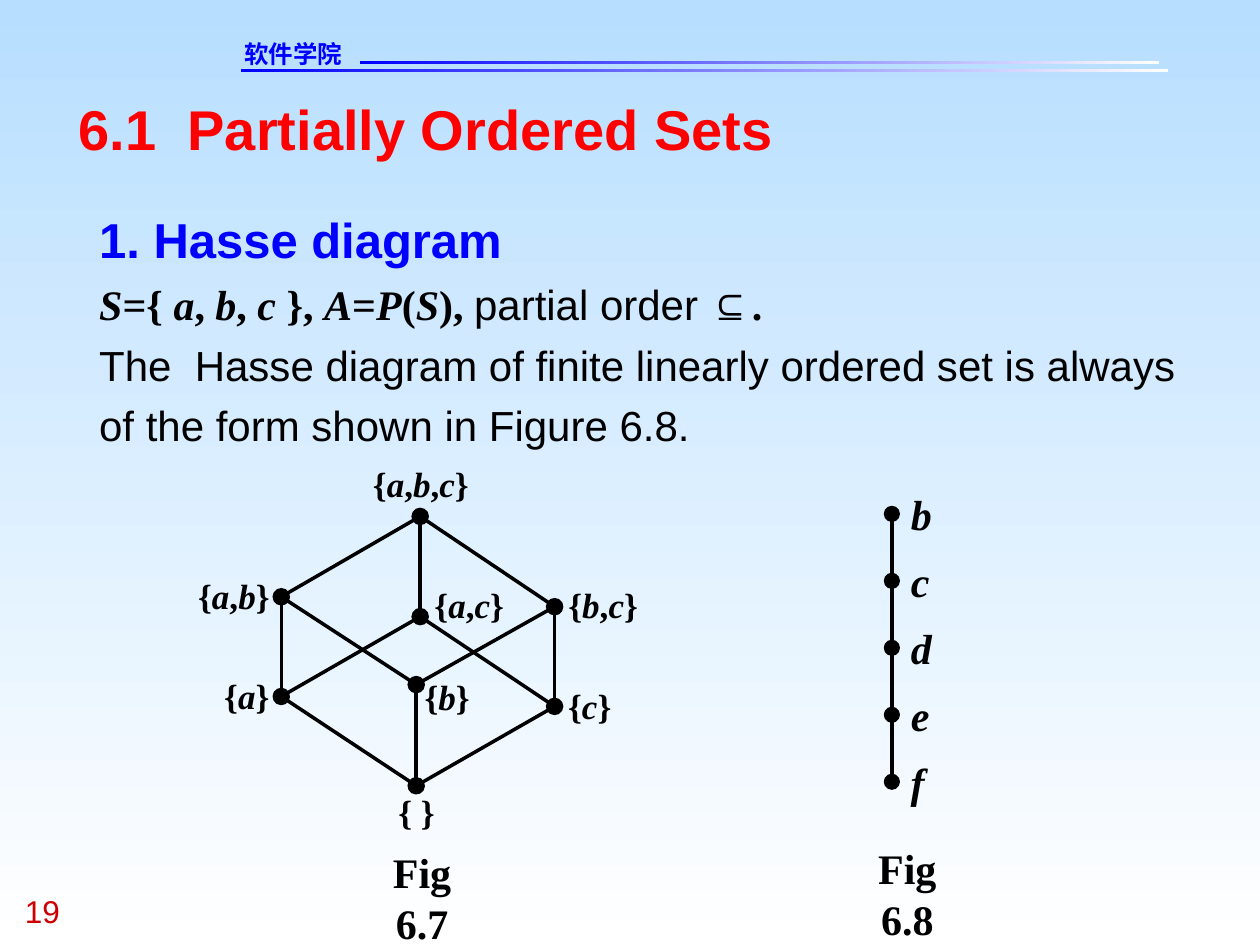
"""Build the Hasse diagram slide."""
from lxml.etree import SubElement as Sub
from pptx import Presentation
from pptx.dml.color import RGBColor
from pptx.enum.shapes import MSO_CONNECTOR as Conn, MSO_SHAPE as Shape
from pptx.enum.text import MSO_AUTO_SIZE as Auto, PP_ALIGN as Align
from pptx.oxml.ns import qn
from pptx.util import Cm, Pt

SERIF, SANS = "Times New Roman", "Arial"
STYLES = {
    "school": dict(name="DejaVu Sans", size=Pt(14), bold=True, color="0000FF"),
    "page": dict(name=SANS, size=Pt(18), color="CC0000"),
    "title": dict(name=SANS, size=Pt(32), bold=True, color="FF0000"),
    "head": dict(name=SANS, size=Pt(28), bold=True, color="0000FF"),
    "body": dict(name=SANS, size=Pt(24), color="000000"),
    "sign": dict(name=SANS, size=Pt(24), bold=True, color="000000"),
    "math": dict(name=SERIF, size=Pt(24), bold=True, color="000000"),
    "label": dict(name=SERIF, size=Pt(20), bold=True, color="000000"),
}

BARS = [(4.85, 1.4, 18.69, 0.05), (7.26, 1.24, 16.1, 0.05)]
BLOCKS = [
    ((4.92, 0.79, 3.68, 0.58), [[("软件学院", "school")]]),
    ((0.5, 17.99, 1.91, 0.76), [[("19", "page")]]),
    ((1.59, 1.91, 22.23, 1.35), [[("6.1  Partially Ordered Sets", "title")]]),
]
BODY = [
    [("1. Hasse diagram", "head")],
    [("*S*={ *a*, *b*, *c* }, *A*=*P*(*S*), ", "math"), ("partial order ", "body"),
     ("⊆", "sign"), (".", "math")],
    [("The  Hasse diagram of finite linearly ordered set is always "
      "of the form shown in Figure 6.8.", "body")],
]
FIGS = [("Fig 6.7", 7.29, 17.07), ("Fig 6.8", 17.07, 16.99)]

NODES = {
    "abc": (8.47, 10.41), "ab": (5.67, 12.03), "ac": (8.47, 12.43),
    "bc": (11.18, 12.23), "a": (5.67, 14.04), "b": (8.39, 13.8),
    "c": (11.18, 14.24), "": (8.39, 15.84),
}
EDGES = [
    ("", "b", "tail"), ("", "a", "head tail"), ("", "c", "tail"),
    ("b", "ab", ""), ("a", "ab", "tail"), ("c", "bc", ""),
    ("bc", "abc", ""), ("ac", "abc", ""), ("b", "bc", "tail"),
    ("ab", "abc", "tail"), ("c", "ac", ""), ("a", "ac", "tail"),
]
LABELS = [
    ("{*a*,*b*,*c*}", 7.52, 9.32, 1.93), ("{*a*,*b*}", 3.99, 11.58, 1.45),
    ("{*a*,*c*}", 8.76, 11.76, 1.4), ("{*b*,*c*}", 11.46, 11.76, 1.4),
    ("{*a*}", 4.52, 13.59, 0.91), ("{*b*}", 8.56, 13.61, 0.91),
    ("{*c*}", 11.46, 13.79, 0.86), ("{ }", 8.03, 15.93, 0.74),
]
CHAIN = [("b", 0.43), ("c", 0.38), ("d", 0.43), ("e", 0.38), ("f", 0.28)]
AXIS, FIRST, STEP, DOT, SLACK = 17.98, 10.36, 1.35, 0.3, 0.1


def rgb(code):
    return RGBColor.from_string(code)


def fade(fill, colors, angle):
    fill.gradient()
    fill.gradient_angle = angle
    for stop, code in zip(fill.gradient_stops, colors):
        stop.color.rgb = rgb(code)


def write(para, text, style):
    for i, part in enumerate(text.split("*")):
        if not part:
            continue
        run = para.add_run()
        run.text = part
        for key, val in STYLES[style].items():
            if key == "color":
                run.font.color.rgb = rgb(val)
            else:
                setattr(run.font, key, val)
        run.font.italic = i % 2 == 1


def add_text(slide, box, paras, wrap=True, **form):
    frame = slide.shapes.add_textbox(*map(Cm, box)).text_frame
    look = dict(margin_left=0, margin_top=0, margin_right=0, margin_bottom=0,
                word_wrap=wrap, auto_size=Auto.SHAPE_TO_FIT_TEXT)
    for key, val in look.items():
        setattr(frame, key, val)
    for i, runs in enumerate(paras):
        para = frame.add_paragraph() if i else frame.paragraphs[0]
        for key, val in form.items():
            setattr(para, key, val)
        for text, style in runs:
            write(para, text, style)


def add_label(slide, box, text, style):
    x, y, wide, high = box
    add_text(slide, (x - SLACK, y, wide + 2 * SLACK, high), [[(text, style)]],
             False, alignment=Align.CENTER)


def add_shape(slide, kind, box):
    shape = slide.shapes.add_shape(kind, *map(Cm, box))
    shape.shadow.inherit = False
    return shape


def add_line(slide, start, end, ovals=""):
    line = slide.shapes.add_connector(Conn.STRAIGHT, *map(Cm, start + end))
    line.line.color.rgb = rgb("000000")
    line.line.width = Pt(2)
    props = line.line._get_or_add_ln()
    for side in ovals.split():
        Sub(props, qn(f"a:{side}End"), type="oval", w="lg", len="lg")
    Sub(line._element.spPr, qn("a:effectLst"))


def add_dot(slide, x, y):
    dot = add_shape(slide, Shape.OVAL, (x - DOT / 2, y - DOT / 2, DOT, DOT))
    dot.fill.solid()
    dot.fill.fore_color.rgb = dot.line.color.rgb = rgb("000000")
    dot.line.width = Pt(0.75)


def main():
    deck = Presentation()
    deck.slide_width, deck.slide_height = Cm(25.4), Cm(19.05)
    slide = deck.slides.add_slide(deck.slide_layouts[6])
    fade(slide.background.fill, ("B7DEFF", "FFFFFF"), 270)

    for box in BARS:
        bar = add_shape(slide, Shape.RECTANGLE, box)
        fade(bar.fill, ("0000FF", "FFFFFF"), 0)
        bar.line.fill.background()
    for box, paras in BLOCKS:
        add_text(slide, box, paras)
    add_text(slide, (2, 3.99, 22.38, 5.08), BODY, line_spacing=1.2)
    for text, x, y in FIGS:
        add_text(slide, (x, y, 2.44, 2.03), [[(text, "math")]],
                 alignment=Align.CENTER)

    for start, end, ovals in EDGES:
        add_line(slide, NODES[start], NODES[end], ovals)
    for text, x, y, wide in LABELS:
        add_label(slide, (x, y, wide, 0.84), text, "label")

    last = FIRST + STEP * (len(CHAIN) - 1)
    add_line(slide, (AXIS, last), (AXIS, FIRST))
    for i, (name, wide) in enumerate(CHAIN):
        y = FIRST + i * STEP
        add_dot(slide, AXIS, y)
        add_label(slide, (AXIS + 0.38, y - 0.51, wide, 1.02), f"*{name}*", "math")
    deck.save("out.pptx")


if __name__ == "__main__":
    main()
